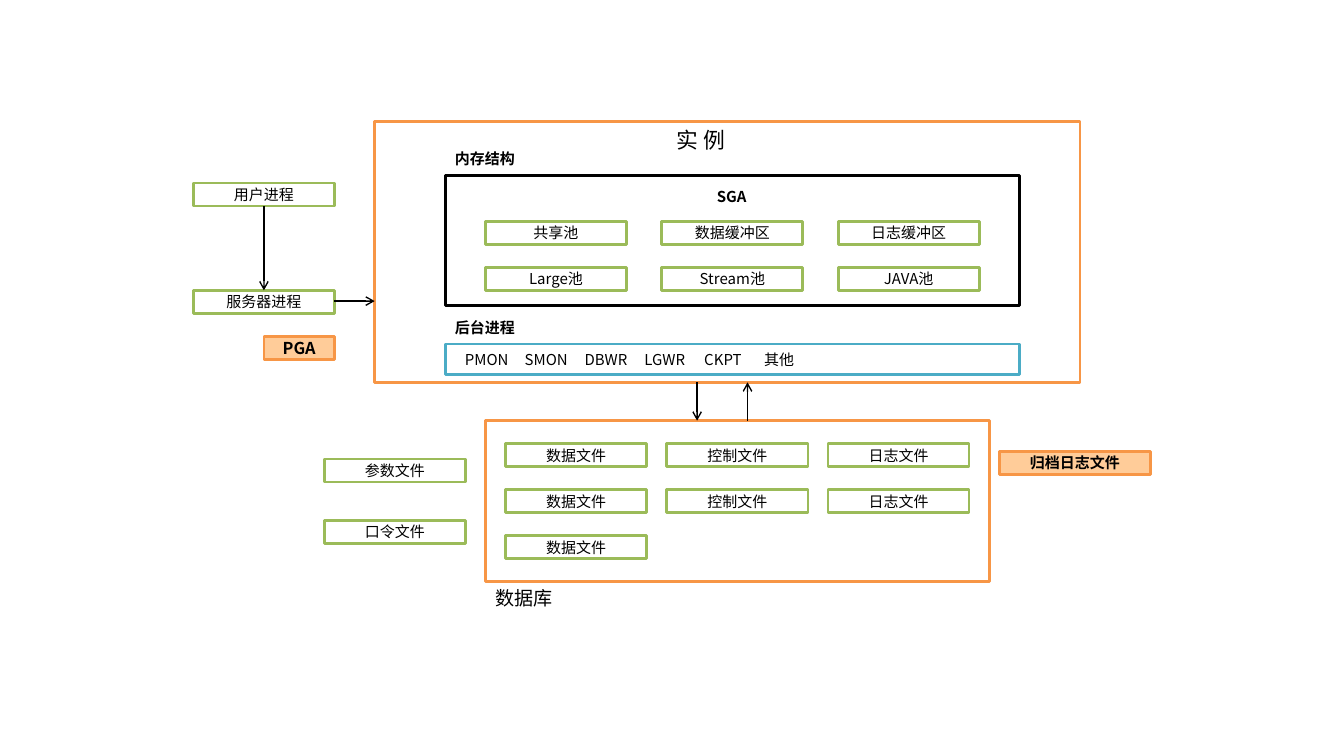
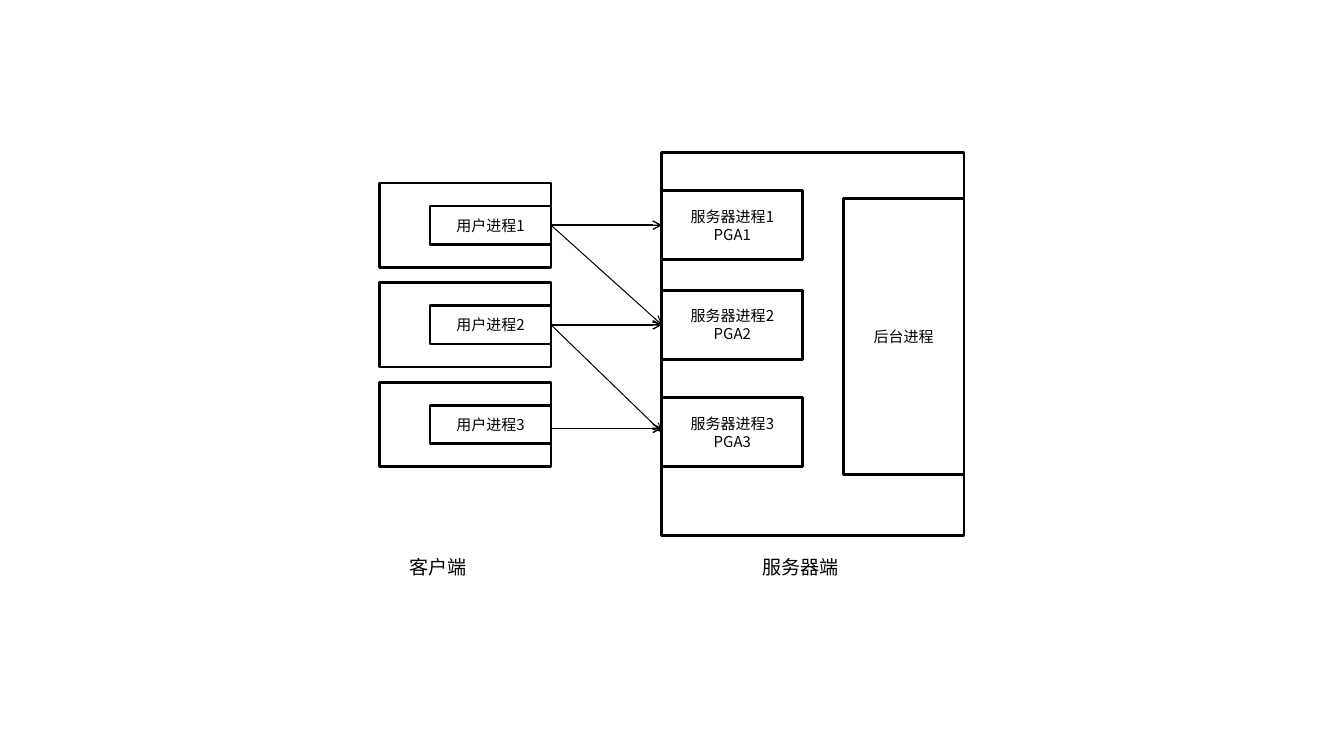
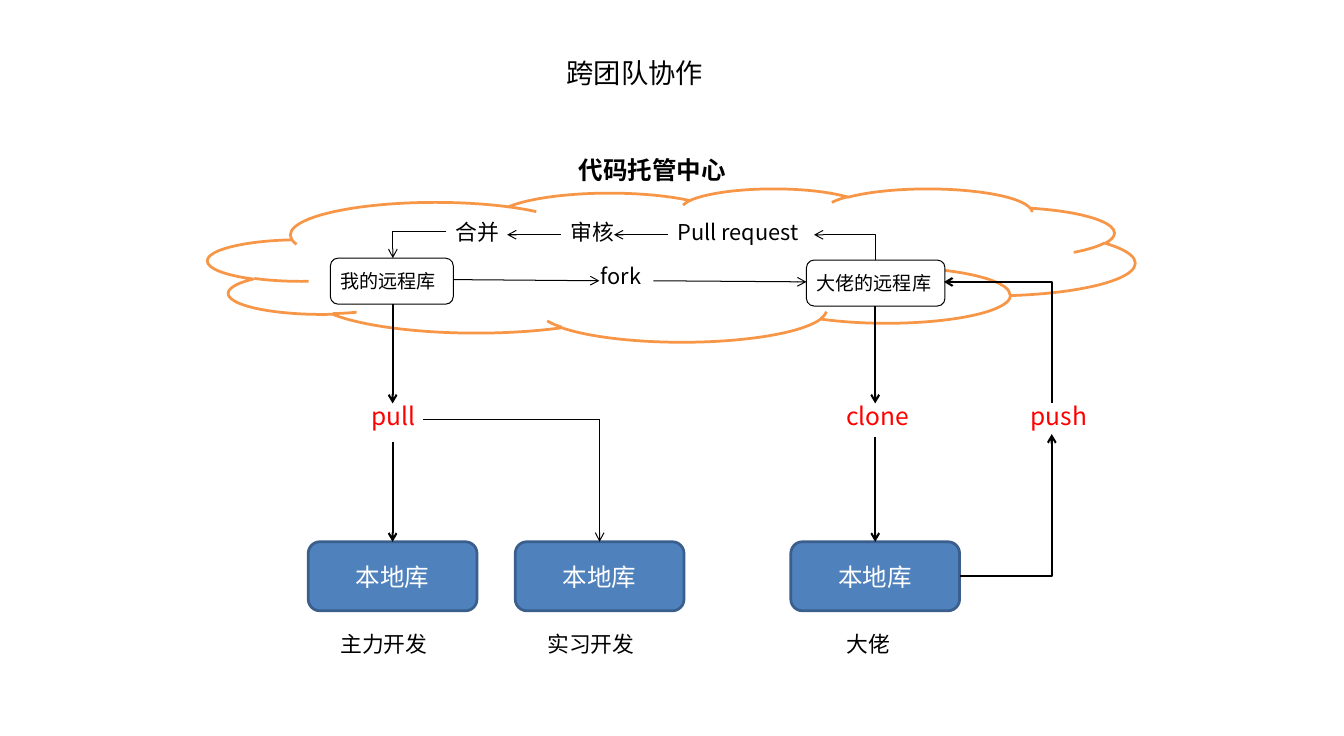
import collections

import pptx
import pptx.dml.color
import pptx.enum.shapes
import pptx.enum.text
import pptx.oxml
import pptx.oxml.ns
import pptx.util

RGB = pptx.dml.color.RGBColor
SHAPE = pptx.enum.shapes.MSO_SHAPE
CONNECTOR = pptx.enum.shapes.MSO_CONNECTOR
ALIGN = pptx.enum.text.PP_ALIGN
ANCHOR = pptx.enum.text.MSO_ANCHOR
Inches, Pt = pptx.util.Inches, pptx.util.Pt
qn = pptx.oxml.ns.qn

BLACK = RGB(0x00, 0x00, 0x00)
WHITE = RGB(0xFF, 0xFF, 0xFF)
ORANGE = RGB(0xF7, 0x96, 0x46)
PEACH = RGB(0xFF, 0xCC, 0x99)
GREEN = RGB(0x9B, 0xBB, 0x59)
TEAL = RGB(0x4B, 0xAC, 0xC6)
BLUE = RGB(0x4F, 0x81, 0xBD)
NAVY = RGB(0x3A, 0x5F, 0x8C)
RED = RGB(0xFF, 0x00, 0x00)

FONT = "Noto Sans CJK SC"
WIDTH, HEIGHT = 13.7, 7.5
COLS, ROWS = 133.4, 96
LEFT, TOP = 0.02, -0.01
CELL = 14, 3


def x(col):
    return Inches(LEFT + col * WIDTH / COLS)


def y(row):
    return Inches(TOP + row * HEIGHT / ROWS)


class Box(collections.namedtuple("Box", "col row cols rows")):
    """A rectangle on the slide grid; at() and pt() count from its corner."""

    def at(self, col, row, cols=0, rows=0):
        return Box(self.col + col, self.row + row, cols, rows)

    def pt(self, col, row):
        return self.col + col, self.row + row

    def place(self):
        left, top = x(self.col), y(self.row)
        return (left, top, x(self.col + self.cols) - left,
                y(self.row + self.rows) - top)


SLIDE = Box(0, 0, COLS, ROWS)


def set_all(obj, values):
    for name, value in values.items():
        setattr(obj, name, value)


def write(tf, text, size, color, bold=False, align=ALIGN.LEFT):
    for i, line in enumerate(text.split("\n")):
        p = tf.add_paragraph() if i else tf.paragraphs[0]
        p.alignment = align
        r = p.add_run()
        r.text = line
        set_all(r.font, {"name": FONT, "size": Pt(size), "bold": bold})
        r.font.color.rgb = color
        ea = pptx.oxml.parse_xml(
            f'<a:ea {pptx.oxml.ns.nsdecls("a")} typeface="{FONT}"/>')
        r.font._element.find(qn("a:latin")).addnext(ea)


def label(s, box, text, size=11, color=BLACK, bold=False):
    tf = s.shapes.add_textbox(*box.place()).text_frame
    tf.word_wrap = True
    write(tf, text, size, color, bold)


def panel(s, box, text="", line=BLACK, fill=WHITE, kind=SHAPE.RECTANGLE,
          weight=2, size=11, color=BLACK, bold=False, align=ALIGN.CENTER):
    sp = s.shapes.add_shape(kind, *box.place())
    sp.shadow.inherit = False
    sp.fill.solid()
    sp.fill.fore_color.rgb = fill
    sp.line.color.rgb = line
    sp.line.width = Pt(weight)
    tf = sp.text_frame
    set_all(tf, {"word_wrap": True, "vertical_anchor": ANCHOR.MIDDLE,
                 "margin_left": Inches(0.08), "margin_right": Inches(0.02),
                 "margin_top": 0, "margin_bottom": 0})
    if align == ALIGN.CENTER:
        tf.margin_right = tf.margin_left
    if text:
        write(tf, text, size, color, bold, align)
    return sp


def arrow(s, start, end, weight=1, tip="tailEnd", bent=False):
    """Draw a line; a bent one runs across first, then up or down."""
    kind = CONNECTOR.ELBOW if bent else CONNECTOR.STRAIGHT
    c = s.shapes.add_connector(kind, x(start[0]), y(start[1]),
                               x(end[0]), y(end[1]))
    c.line.color.rgb = BLACK
    c.line.width = Pt(weight)
    props = c._element.spPr
    if bent:
        props.find(qn("a:prstGeom")).set("prst", "bentConnector2")
    if tip:
        ln = props.find(qn("a:ln"))
        ln.append(ln.makeelement(qn(f"a:{tip}"), {"type": "arrow"}))
    props.append(props.makeelement(qn("a:effectLst"), {}))


def cells(s, box, rows, pitch):
    """Fill a grid of green cells row by row, stepping by pitch."""
    for i, row in enumerate(rows):
        for j, text in enumerate(row):
            panel(s, box.at(j * pitch, i * 6, *CELL), text, GREEN)


def instance(s, box):
    panel(s, box, line=ORANGE)
    label(s, box.at(29, 0, 11, 5), "实 例", 16)
    label(s, box.at(7, 3, 11, 4), "内存结构", bold=True)
    sga = box.at(7, 7, 57, 17)
    panel(s, sga)
    label(s, sga.at(26, 1, 6, 4), "SGA", bold=True)
    cells(s, sga.at(4, 6), [("共享池", "数据缓冲区", "日志缓冲区"),
                            ("Large池", "Stream池", "JAVA池")], 17.5)
    label(s, box.at(7, 25, 11, 4), "后台进程", bold=True)
    names = "PMON", "SMON", "DBWR", "LGWR", "CKPT", "其他"
    sp = panel(s, box.at(7, 29, 57, 4), "\t".join(names), TEAL,
               align=ALIGN.LEFT)
    sp.text_frame.margin_left = Inches(0.2)
    props = sp.text_frame.paragraphs[0]._p.get_or_add_pPr()
    tabs = props.makeelement(qn("a:tabLst"), {})
    for i in range(1, len(names)):
        stop = {"pos": str(Inches(0.61 * i)), "algn": "l"}
        tabs.append(tabs.makeelement(qn("a:tab"), stop))
    props.append(tabs)


def processes(s, box):
    panel(s, box.at(0, 0, *CELL), "用户进程", GREEN)
    panel(s, box.at(0, 14, *CELL), "服务器进程", GREEN)
    panel(s, box.at(7, 20, 7, 3), "PGA", ORANGE, PEACH, size=12, bold=True)
    arrow(s, box.pt(7, 3), box.pt(7, 14))
    arrow(s, box.pt(14, 15.4), box.pt(18, 15.4))


def database(s, box):
    panel(s, box, line=ORANGE)
    cells(s, box.at(2, 3), [("数据文件", "控制文件", "日志文件"),
                            ("数据文件", "控制文件", "日志文件"),
                            ("数据文件",)], 16)
    label(s, box.at(0, 21, 12, 4), "数据库", 14)
    panel(s, box.at(-16, 5, *CELL), "参数文件", GREEN)
    panel(s, box.at(-16, 13, *CELL), "口令文件", GREEN)
    panel(s, box.at(51, 4, 15, 3), "归档日志文件", ORANGE, PEACH, bold=True)
    arrow(s, box.pt(21, -5), box.pt(21, 0))
    arrow(s, box.pt(26, 0), box.pt(26, -5))


def architecture_slide(s):
    instance(s, SLIDE.at(37, 16, 70, 34))
    processes(s, SLIDE.at(19, 24))
    database(s, SLIDE.at(48, 55, 50, 21))


def clients(s, box):
    for i in range(3):
        client = box.at(0, 13 * i, 17, 11)
        panel(s, client)
        panel(s, client.at(5, 3, 12, 5), f"用户进程{i + 1}")
    label(s, box.at(2, 48, 12, 4), "客户端", 14)


def server(s, box):
    panel(s, box)
    for i, row in enumerate((5, 18, 32), 1):
        panel(s, box.at(0, row, 14, 9), f"服务器进程{i}\nPGA{i}")
    panel(s, box.at(18, 6, 12, 36), "后台进程")
    label(s, box.at(9, 52, 14, 4), "服务器端", 14)


def connection_slide(s):
    clients(s, SLIDE.at(37.5, 24))
    server(s, SLIDE.at(65.5, 20, 30, 50))
    for start, end, weight in ((29.5, 29.5, 1), (42.5, 42.5, 1), (56, 56, 1),
                               (29.5, 42.5, 0.75), (42.5, 56.5, 0.75)):
        arrow(s, (54.5, start), (65.5, end), weight)


def hosting_cloud(s, box):
    panel(s, box, line=ORANGE, kind=SHAPE.CLOUD)
    label(s, box.at(35.85, -5, 18.3, 5), "代码托管中心", 18, bold=True)
    for col, row, cols, text in ((12.15, 9.1, 12.2, "我的远程库"),
                                 (59.4, 9.35, 13.75, "大佬的远程库")):
        panel(s, box.at(col, row, cols, 6), text, kind=SHAPE.ROUNDED_RECTANGLE,
              weight=0.75, size=14, align=ALIGN.LEFT)
    for col, row, cols, text in ((38.05, 9.1, 6.8, "fork"),
                                 (45.65, 3.35, 15.2, "Pull request"),
                                 (35.05, 3.35, 6.8, "审核"),
                                 (23.65, 3.35, 6.8, "合并")):
        label(s, box.at(col, row, cols, 4.7), text, 16)
    for start, end in (((24.35, 11.9), (38.85, 12.05)),
                       ((44.2, 12.05), (59.4, 12.2)),
                       ((45.65, 6.05), (40.3, 6.05)),
                       ((35.05, 6.05), (29.7, 6.05))):
        arrow(s, box.pt(*start), box.pt(*end), 0.75)
    arrow(s, box.pt(60.15, 6.05), box.pt(66.25, 9.35), 0.75, "headEnd", True)
    arrow(s, box.pt(23.65, 5.65), box.pt(18.35, 9.1), 0.75, bent=True)


def local_repo(s, box, owner, indent):
    panel(s, box, "本地库", NAVY, BLUE, SHAPE.ROUNDED_RECTANGLE,
          size=18, color=WHITE)
    label(s, box.at(indent, 11, 11.4, 4.7), owner, 16)


def transfers(s, box, mine, intern, boss):
    """Draw pull, clone and push; columns are the centres of the repos."""
    for col, cols, text in ((35.75, 6.8, "pull"), (82.85, 8.4, "clone"),
                            (101.15, 8.4, "push")):
        label(s, box.at(col, 0, cols, 5), text, 18, RED)
    for col, top, gap in ((mine, -11.95, 6), (boss, -11.65, 5.35)):
        arrow(s, box.pt(col, top), box.pt(col, 1), 1.5)
        arrow(s, box.pt(col, gap), box.pt(col, 19.05), 1.5)
    arrow(s, box.pt(41.8, 3.05), box.pt(intern, 3.05), 0.75, None)
    arrow(s, box.pt(intern, 3.05), box.pt(intern, 19.05), 0.75)
    arrow(s, box.pt(95.05, 23.55), box.pt(104.2, 5), 1.5, bent=True)
    arrow(s, box.pt(93.5, -14.85), box.pt(104.2, 1), 1.5, "headEnd", True)


def collaboration_slide(s):
    label(s, SLIDE.at(55.1, 6.8, 16.8, 5.6), "跨团队协作", 20)
    hosting_cloud(s, SLIDE.at(20.45, 24.7, 92, 20))
    centres = []
    for col, owner, indent in ((30.4, "主力开发", 2.25),
                               (50.95, "实习开发", 2.25),
                               (78.3, "大佬", 4.55)):
        repo = SLIDE.at(col, 70.8, 16.75, 9)
        local_repo(s, repo, owner, indent)
        centres.append(repo.col + repo.cols / 2)
    transfers(s, SLIDE.at(0, 51.75), *centres)


def main():
    prs = pptx.Presentation()
    prs.slide_width, prs.slide_height = Inches(WIDTH), Inches(HEIGHT)
    for build in (architecture_slide, connection_slide, collaboration_slide):
        build(prs.slides.add_slide(prs.slide_layouts[6]))
    prs.save("out.pptx")


if __name__ == "__main__":
    main()
